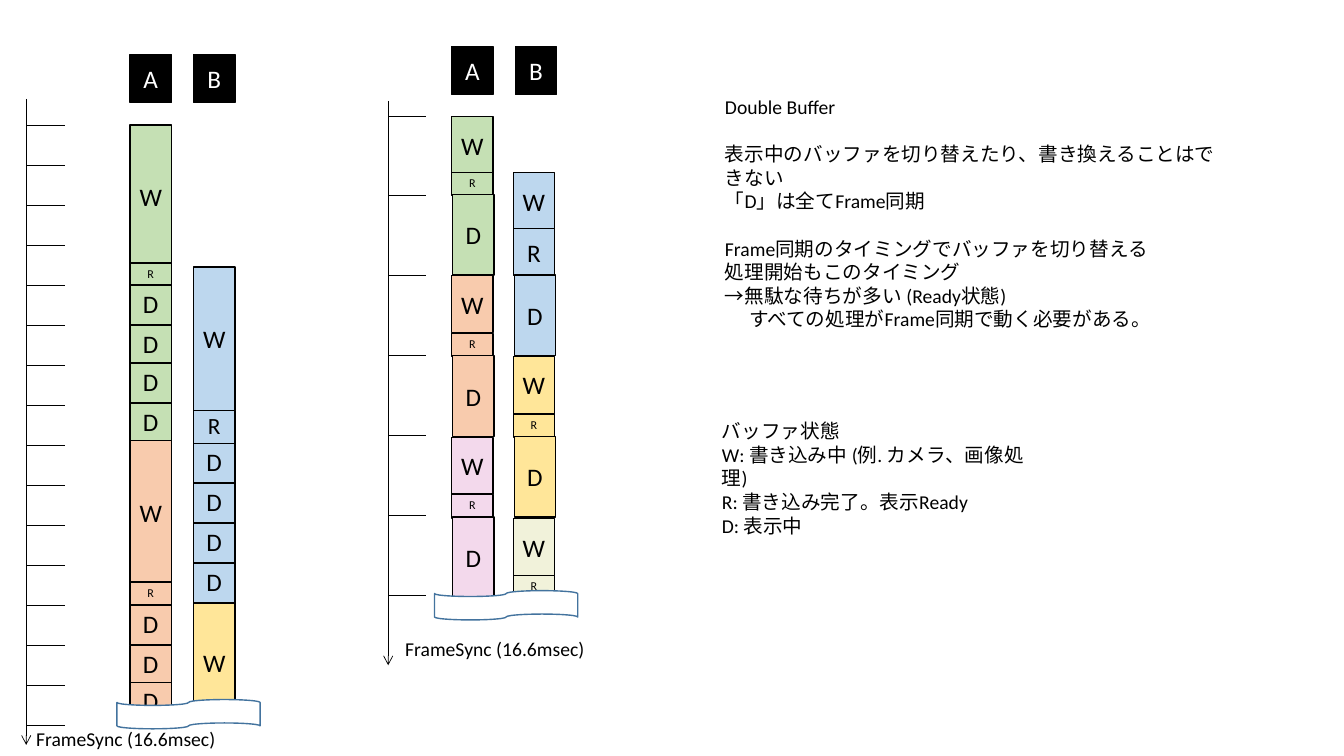
from pptx import Presentation
from pptx import util as u
from pptx.dml.color import RGBColor
from pptx.enum import shapes, text
from pptx.oxml.ns import qn
from lxml import etree

WIDE, HIGH = 13.33, 7.5
THEME = {
    "font": "Calibri", "ink": "000000", "paper": "FFFFFF", "edge": "43739E",
    "green": "C5E0B4", "blue": "BDD7EE", "peach": "F8CBAD",
    "gold": "FFE699", "pink": "F3D9EC", "cream": "F1F2DA",
    "note": 14, "cell": 18, "ready": 16.6, "small": 8.6,
    "thin": 0.5, "line": 1,
}
COL_WIDE, COL_STEP, HEAD_HIGH, TICK = 0.41, 0.63, 0.48, 0.38
TAPE = (1.42, 0.29)
SYNC = "FrameSync (16.6msec)"

SLOW = {
    "axis": (0.26, 0.98, 7.39), "start": 1.24, "frame": 0.397, "ticks": 16,
    "head": (1.29, 0.54), "cols": (1.29, 1.92), "nudge": 0,
    "label": (0.26, 7.16), "tape": (1.16, 6.94),
    "kinds": {"W": (3.58, "cell", 1), "w": (2.97, "cell", 1),
              "R": (0.58, "small", 0.8), "r": (0.88, "ready", 0.8),
              "D": (1, "cell", 0.9)},
    "runs": [
        (0, "green", "WRDDDD", (0, 3.45, 4, 5, 5.95, 6.95)),
        (0, "peach", "WRDDD", (7.89, 11.42, 12, 13, 13.94)),
        (1, "blue", "WrDDDD", (3.55, 7.13, 7.96, 8.95, 9.95, 10.95)),
        (1, "gold", "w", (11.94,)),
    ],
}
FAST = {
    "axis": (3.85, 1, 6.6), "start": 1.15, "frame": 0.793, "ticks": 7,
    "head": (4.48, 0.46), "cols": (4.48, 5.09), "nudge": 0.01,
    "label": (3.92, 6.27), "tape": (4.31, 5.86),
    "kinds": {"W": (0.71, "cell", 1), "R": (0.29, "small", 0.8),
              "r": (0.59, "cell", 1), "D": (1.01, "cell", 1)},
    "runs": [
        (0, "green", "WRD", (0.01, 0.71, 0.98)),
        (0, "peach", "WRD", (2, 2.72, 3)),
        (0, "pink", "WRD", (4.02, 4.74, 5.02)),
        (1, "blue", "WrD", (0.71, 1.41, 1.99)),
        (1, "gold", "WRD", (3.01, 3.73, 4.01)),
        (1, "cream", "WR", (5.04, 5.75)),
    ],
}
RULES = [
    ("表示中のバッファを切り替えたり、書き換えることはできない", {}),
    ("「D」は全てFrame同期", {}),
    ("Frame同期のタイミングでバッファを切り替える", {"space_before": u.Pt(17)}),
    ("処理開始もこのタイミング", {}),
    ("→無駄な待ちが多い (Ready状態)", {}),
    ("すべての処理がFrame同期で動く必要がある。", {"inset": 0.24}),
]
STATES = [
    ("バッファ状態", {}),
    ("W: 書き込み中 (例. カメラ、画像処理)", {}),
    ("R: 書き込み完了。表示Ready", {}),
    ("D: 表示中", {}),
]


def put(item, **vals):
    for name, val in vals.items():
        setattr(item, name, val)


def tint(name):
    return RGBColor.from_string(THEME[name])


def write(para, words, size, ink="ink", **vals):
    run = para.add_run()
    run.text = words
    put(run.font, name=THEME["font"], size=u.Pt(THEME[size]))
    run.font.color.rgb = tint(ink)
    put(para, **vals)


def block(slide, kind, box, fill, edge="ink"):
    item = slide.shapes.add_shape(kind, *map(u.Inches, box))
    item.shadow.inherit = False
    item.fill.solid()
    item.fill.fore_color.rgb = tint(fill)
    item.line.color.rgb = tint(edge)
    item.line.width = u.Pt(THEME["line"])
    return item


def cell(slide, box, fill, words, size="cell", ink="ink", pitch=1):
    frame = block(slide, shapes.MSO_SHAPE.RECTANGLE, box, fill).text_frame
    put(frame, margin_left=0, margin_right=0, word_wrap=True,
        vertical_anchor=text.MSO_ANCHOR.MIDDLE)
    write(frame.paragraphs[0], words, size, ink,
          alignment=text.PP_ALIGN.CENTER, line_spacing=pitch)


def rule(slide, ends, arrow=False):
    item = slide.shapes.add_connector(
        shapes.MSO_CONNECTOR.STRAIGHT, *map(u.Inches, ends))
    item.line.color.rgb = tint("ink")
    item.line.width = u.Pt(THEME["thin"])
    if arrow:
        etree.SubElement(item.line._get_or_add_ln(), qn("a:tailEnd"), type="arrow")
    etree.SubElement(item._element.spPr, qn("a:effectLst"))


def label(slide, spot, words):
    frame = slide.shapes.add_textbox(*map(u.Inches, (*spot, 1.99, 0.34))).text_frame
    frame.word_wrap = True
    write(frame.paragraphs[0], words, "note")


def fill_in(holder, box, lines):
    put(holder, **dict(zip(("left", "top", "width", "height"), map(u.Inches, box))))
    frame = holder.text_frame
    put(frame, word_wrap=True, auto_size=text.MSO_AUTO_SIZE.NONE,
        vertical_anchor=text.MSO_ANCHOR.TOP)
    for i, (words, vals) in enumerate(lines):
        para = frame.add_paragraph() if i else frame.paragraphs[0]
        look = {"space_before": u.Pt(0), "alignment": text.PP_ALIGN.LEFT, **vals}
        inset = look.pop("inset", 0)
        write(para, words, "note", **look)
        props = para._p.get_or_add_pPr()
        props.set("marL", str(u.Inches(inset)))
        props.set("indent", "0")
        etree.SubElement(props, qn("a:buNone"))


def chart(slide, plan):
    x, top, end = plan["axis"]
    start, step = plan["start"], plan["frame"]
    rule(slide, (x, top, x, end), True)
    for i in range(plan["ticks"]):
        y = start + i * step
        rule(slide, (x, y, x + TICK, y))
    label(slide, plan["label"], SYNC)
    left, top = plan["head"]
    for i, name in enumerate("AB"):
        cell(slide, (left + i * COL_STEP, top, COL_WIDE, HEAD_HIGH), "ink", name, ink="paper")
    for col, fill, states, rows in plan["runs"]:
        for state, row in zip(states, rows):
            high, size, pitch = plan["kinds"][state]
            left = plan["cols"][col] + plan["nudge"] * (state == "D")
            box = (left, start + row * step, COL_WIDE, high * step)
            cell(slide, box, fill, state.upper(), size, pitch=pitch)
    block(slide, shapes.MSO_SHAPE.FLOWCHART_PUNCHED_TAPE,
          (*plan["tape"], *TAPE), "paper", "edge")


def main():
    deck = Presentation()
    put(deck, slide_width=u.Inches(WIDE), slide_height=u.Inches(HIGH))
    slide = deck.slides.add_slide(deck.slide_layouts[3])
    title, rules, states = slide.placeholders
    fill_in(title, (7.09, 0.89, 5.09, 0.34), [("Double Buffer", {})])
    fill_in(rules, (7.09, 1.36, 5.09, 1.99), RULES)
    fill_in(states, (7.06, 4.11, 3.26, 1.25), STATES)
    for plan in (SLOW, FAST):
        chart(slide, plan)
    deck.save("out.pptx")


if __name__ == "__main__":
    main()
